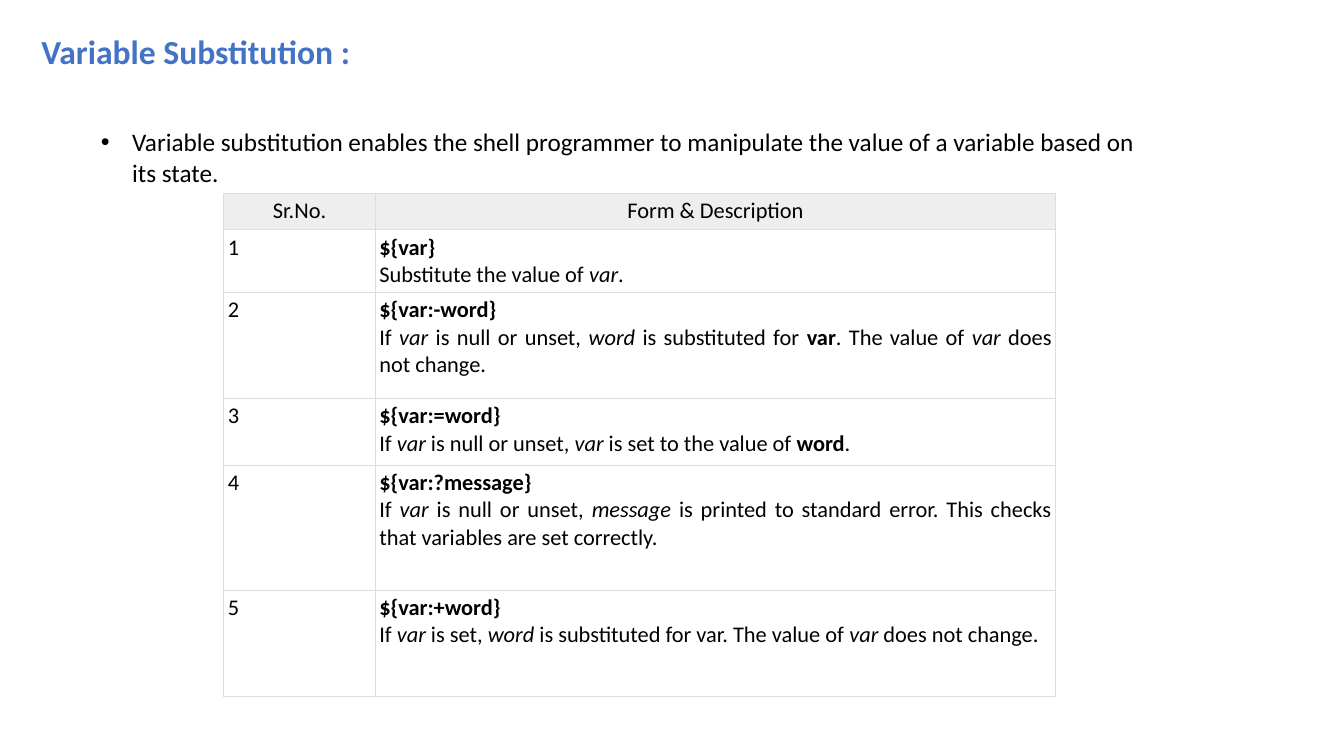
from lxml.etree import SubElement
from pptx import Presentation
from pptx.dml.color import RGBColor
from pptx.enum.text import MSO_ANCHOR as Anchor, MSO_AUTO_SIZE as AutoSize, PP_ALIGN as Align
from pptx.oxml.ns import qn
from pptx.util import Cm, Pt

BLUE = RGBColor(0x44, 0x72, 0xC4)
BLACK = RGBColor(0x00, 0x00, 0x00)
HEADER_GREY = RGBColor(0xEE, 0xEE, 0xEE)
BORDER_GREY = RGBColor(0xDD, 0xDD, 0xDD)
FONT = "Calibri"
PLAIN, BOLD, ITALIC = "plain", "bold", "italic"

TITLE = "Variable Substitution :"
INTRO = ("Variable substitution enables the shell programmer to manipulate "
         "the value of a variable based on its state.")
HEADERS = ["Sr.No.", "Form & Description"]
VAR = ("var", ITALIC)
FORMS = [
    ("${var}", [("Substitute the value of ", PLAIN), VAR, (".", PLAIN)]),
    ("${var:-word}", [
        ("If ", PLAIN), VAR, (" is null or unset, ", PLAIN), ("word", ITALIC),
        (" is substituted for ", PLAIN), ("var", BOLD),
        (". The value of ", PLAIN), VAR, (" does not change.", PLAIN)]),
    ("${var:=word}", [
        ("If ", PLAIN), VAR, (" is null or unset, ", PLAIN), VAR,
        (" is set to the value of ", PLAIN), ("word", BOLD), (".", PLAIN)]),
    ("${var:?message}", [
        ("If ", PLAIN), VAR, (" is null or unset, ", PLAIN), ("message", ITALIC),
        (" is printed to standard error. This checks that variables are set correctly.", PLAIN)]),
    ("${var:+word}", [
        ("If ", PLAIN), VAR, (" is set, ", PLAIN), ("word", ITALIC),
        (" is substituted for var. The value of ", PLAIN), VAR,
        (" does not change.", PLAIN)]),
]
COLUMN_WIDTHS = [Cm(3.82), Cm(17.14)]
ROW_HEIGHTS = [Cm(0.91), Cm(1.58), Cm(2.67), Cm(1.68), Cm(3.15), Cm(2.67)]


def add_run(paragraph, text, size, color=BLACK, style=PLAIN):
    run = paragraph.add_run()
    run.text = text
    run.font.name = FONT
    run.font.size = Pt(size)
    run.font.color.rgb = color
    run.font.bold = style == BOLD
    run.font.italic = style == ITALIC


def add_title(slide):
    title = slide.shapes.title
    title.left, title.top, title.width, title.height = Cm(0.79), Cm(0.66), Cm(16.94), Cm(1.27)
    frame = title.text_frame
    frame.auto_size = AutoSize.NONE
    frame.vertical_anchor = Anchor.TOP
    frame.paragraphs[0].alignment = Align.LEFT
    add_run(frame.paragraphs[0], TITLE, 24, BLUE, BOLD)


def add_intro(slide):
    box = slide.shapes.add_textbox(Cm(2.29), Cm(3.07), Cm(27.25), Cm(1.8))
    box.text_frame.word_wrap = True
    paragraph = box.text_frame.paragraphs[0]
    properties = paragraph._p.get_or_add_pPr()
    properties.set("marL", str(Cm(0.79)))
    properties.set("indent", str(-Cm(0.79)))
    SubElement(properties, qn("a:buFont"), typeface="Arial")
    SubElement(properties, qn("a:buChar"), char="•")
    add_run(paragraph, INTRO, 18)


def add_borders(cell):
    properties = cell._tc.get_or_add_tcPr()
    for position, side in enumerate(("a:lnL", "a:lnR", "a:lnT", "a:lnB")):
        line = SubElement(properties, qn(side), w=str(Pt(0.6)))
        fill = SubElement(line, qn("a:solidFill"))
        SubElement(fill, qn("a:srgbClr"), val=str(BORDER_GREY))
        properties.insert(position, line)


def fill_cell(cell, paragraphs, alignment, background=None):
    cell.margin_left = cell.margin_right = cell.margin_top = cell.margin_bottom = Cm(0.1)
    if background is None:
        cell.fill.background()
    else:
        cell.fill.solid()
        cell.fill.fore_color.rgb = background
    add_borders(cell)
    frame = cell.text_frame
    for index, runs in enumerate(paragraphs):
        paragraph = frame.add_paragraph() if index else frame.paragraphs[0]
        paragraph.alignment = alignment
        for text, style in runs:
            add_run(paragraph, text, 16, style=style)


def add_forms_table(slide):
    table = slide.shapes.add_table(
        len(ROW_HEIGHTS), len(COLUMN_WIDTHS), Cm(5.64), Cm(4.88),
        sum(COLUMN_WIDTHS), sum(ROW_HEIGHTS)).table
    table.first_row = table.horz_banding = False
    for column, width in zip(table.columns, COLUMN_WIDTHS):
        column.width = width
    for row, height in zip(table.rows, ROW_HEIGHTS):
        row.height = height
    for column, header in enumerate(HEADERS):
        fill_cell(table.cell(0, column), [[(header, PLAIN)]], Align.CENTER, HEADER_GREY)
    for number, (form, description) in enumerate(FORMS, start=1):
        fill_cell(table.cell(number, 0), [[(str(number), PLAIN)]], Align.LEFT)
        fill_cell(table.cell(number, 1), [[(form, BOLD)], description], Align.JUSTIFY)


def main():
    presentation = Presentation()
    presentation.slide_width = Cm(33.87)
    presentation.slide_height = Cm(19.05)
    slide = presentation.slides.add_slide(presentation.slide_layouts[5])
    add_forms_table(slide)
    add_title(slide)
    add_intro(slide)
    presentation.save("out.pptx")


if __name__ == "__main__":
    main()
